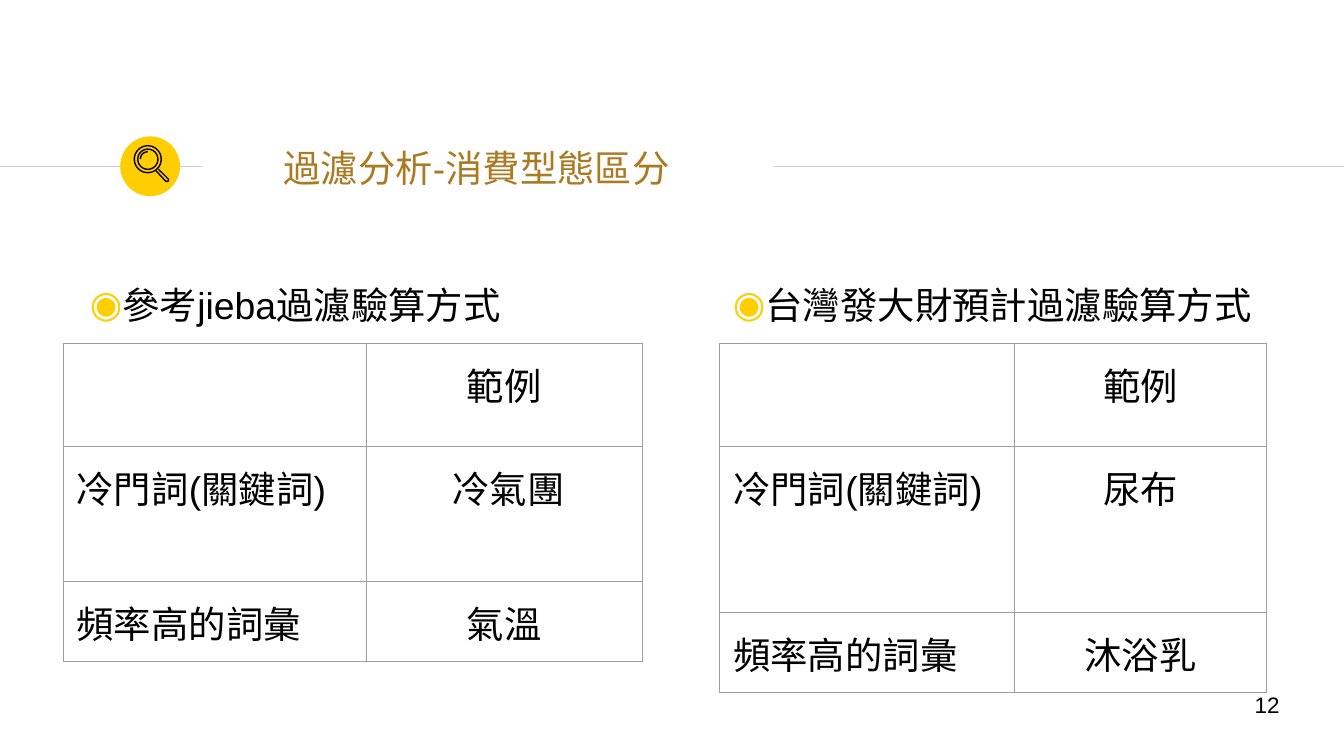
import math
from dataclasses import dataclass

import pptx
import pptx.dml.color
import pptx.enum.shapes
import pptx.enum.text
import pptx.oxml
import pptx.oxml.ns
import pptx.util

PX = 4572  # EMU per px, 200 px to the inch
FONT = "Arial"
COLORS = {
    "rule": "CCCCCC",
    "accent": "FFCD00",
    "title": "AB7A22",
    "ink": "000000",
    "border": "9E9E9E",
}
ALIGN = pptx.enum.text.PP_ALIGN
MIDDLE = pptx.enum.text.MSO_ANCHOR.MIDDLE
NS = pptx.oxml.ns.nsdecls("a")


@dataclass(frozen=True)
class Box:
    left: int
    top: int
    width: int
    height: int

    def emu(self) -> list[int]:
        return [side * PX for side in (self.left, self.top, self.width, self.height)]


@dataclass(frozen=True)
class Comparison:
    heading: str
    heading_box: Box
    table_left: int
    columns: tuple[int, int]
    rows: tuple[int, int, int]
    rare_example: str
    frequent_example: str


COMPARISONS = (
    Comparison("參考jieba過濾驗算方式", Box(114, 333, 754, 178), 94,
               (451, 411), (154, 200, 120), " 冷氣團", "氣溫"),
    Comparison("台灣發大財預計過濾驗算方式", Box(1071, 333, 884, 160), 1071,
               (439, 375), (154, 246, 120), "尿布", "沐浴乳"),
)
TABLE_TOP = 511
RULE_Y = 248


def rgb(name: str) -> pptx.dml.color.RGBColor:
    return pptx.dml.color.RGBColor.from_string(COLORS[name])


def write_text(frame, text: str, *, size: int = 20, color: str = "ink",
               align=ALIGN.LEFT, indent: int = 0, spacing: float = 1.0,
               bullet: str = "", east_asian: str = "") -> None:
    paragraph = frame.paragraphs[0]
    properties = paragraph._p.get_or_add_pPr()
    properties.set("marL", "0")
    properties.set("indent", str(indent * PX))
    if bullet:
        for xml in (
            f'<a:buClr {NS}><a:srgbClr val="{COLORS["accent"]}"/></a:buClr>',
            f'<a:buFont {NS} typeface="{FONT}"/>',
            f'<a:buChar {NS} char="{bullet}"/>',
        ):
            properties.append(pptx.oxml.parse_xml(xml))
    paragraph.alignment = align
    paragraph.line_spacing = spacing
    run = paragraph.add_run()
    run.text = text
    run.font.size = pptx.util.Pt(size)
    run.font.name = FONT
    run.font.color.rgb = rgb(color)
    if east_asian:
        run.font._element.append(
            pptx.oxml.parse_xml(f'<a:ea {NS} typeface="{east_asian}"/>'))


def add_text(slide, box: Box, text: str, *, inset: int = 20,
             anchor=pptx.enum.text.MSO_ANCHOR.TOP, **text_format) -> None:
    frame = slide.shapes.add_textbox(*box.emu()).text_frame
    frame.word_wrap = True
    frame.vertical_anchor = anchor
    frame.margin_left = frame.margin_right = inset * PX
    frame.margin_top = frame.margin_bottom = inset * PX
    write_text(frame, text, east_asian=FONT, **text_format)


def add_rule(slide, start: int, end: int) -> None:
    rule = slide.shapes.add_connector(
        pptx.enum.shapes.MSO_CONNECTOR.STRAIGHT,
        start * PX, RULE_Y * PX, end * PX, RULE_Y * PX)
    rule.line.color.rgb = rgb("rule")
    rule.line.width = pptx.util.Pt(0.75)
    rule._element.spPr.append(pptx.oxml.parse_xml(f"<a:effectLst {NS}/>"))


def arc_points(x: int, y: int, radius: int, start: int, end: int) -> list[tuple]:
    """Points every 6 degrees, clockwise from the right."""
    angles = [math.radians(degree) for degree in range(start, end + 1, 6)]
    return [(x + radius * math.cos(a), y + radius * math.sin(a)) for a in angles]


def add_stroke(group, points: list[tuple], close: bool) -> None:
    scaled = [(x * PX, y * PX) for x, y in points]
    builder = group.shapes.build_freeform(*scaled[0])
    builder.add_line_segments(scaled[1:], close=close)
    stroke = builder.convert_to_shape()
    stroke.shadow.inherit = False
    stroke.fill.background()
    stroke.line.color.rgb = rgb("ink")
    stroke.line.width = pptx.util.Pt(0.75)


def add_magnifier(slide) -> None:
    disc = slide.shapes.add_shape(
        pptx.enum.shapes.MSO_SHAPE.OVAL, *Box(179, 203, 89, 89).emu())
    disc.shadow.inherit = False
    disc.fill.solid()
    disc.fill.fore_color.rgb = rgb("accent")
    disc.line.fill.background()

    magnifier = slide.shapes.add_group_shape()
    add_stroke(magnifier, arc_points(220, 237, 20, 0, 354), True)
    add_stroke(magnifier, arc_points(220, 237, 15, 0, 354), True)
    add_stroke(magnifier, arc_points(220, 237, 11, 180, 270), False)
    handle = [(232, 254), (247, 270), (250, 270), (251, 267), (236, 252)]
    add_stroke(magnifier, handle, False)


def style_cell(cell) -> None:
    cell.fill.background()
    cell.margin_left = cell.margin_right = 20 * PX
    cell.margin_top = cell.margin_bottom = 20 * PX
    properties = cell._tc.get_or_add_tcPr()
    for position, side in enumerate(("lnL", "lnR", "lnT", "lnB")):
        properties.insert(position, pptx.oxml.parse_xml(
            f'<a:{side} {NS} w="{pptx.util.Pt(0.75)}"><a:solidFill>'
            f'<a:srgbClr val="{COLORS["border"]}"/></a:solidFill></a:{side}>'))


def add_comparison(slide, item: Comparison) -> None:
    add_text(slide, item.heading_box, item.heading,
             indent=-28, spacing=2.0, bullet="◉")
    content = (
        ("", "範例"),
        ("冷門詞(關鍵詞)", item.rare_example),
        ("頻率高的詞彙", item.frequent_example),
    )
    box = Box(item.table_left, TABLE_TOP, sum(item.columns), sum(item.rows))
    table = slide.shapes.add_table(3, 2, *box.emu()).table
    table.first_row = table.horz_banding = False
    for column, width in zip(table.columns, item.columns):
        column.width = width * PX
    for row, height, texts in zip(table.rows, item.rows, content):
        row.height = height * PX
        for cell, text, align in zip(row.cells, texts, (ALIGN.LEFT, ALIGN.CENTER)):
            style_cell(cell)
            if text:
                write_text(cell.text_frame, text, align=align)


def main() -> None:
    deck = pptx.Presentation()
    deck.slide_width, deck.slide_height = 2000 * PX, 1125 * PX
    slide = deck.slides.add_slide(deck.slide_layouts[6])
    add_rule(slide, 0, 300)
    add_rule(slide, 1152, 2000)
    add_magnifier(slide)
    add_text(slide, Box(302, 202, 848, 96), "過濾分析-消費型態區分",
             anchor=MIDDLE, color="title", indent=100)
    for item in COMPARISONS:
        add_comparison(slide, item)
    add_text(slide, Box(1576, 1018, 338, 62), "12", inset=10,
             anchor=MIDDLE, size=12, align=ALIGN.RIGHT)
    deck.save("out.pptx")


if __name__ == "__main__":
    main()
